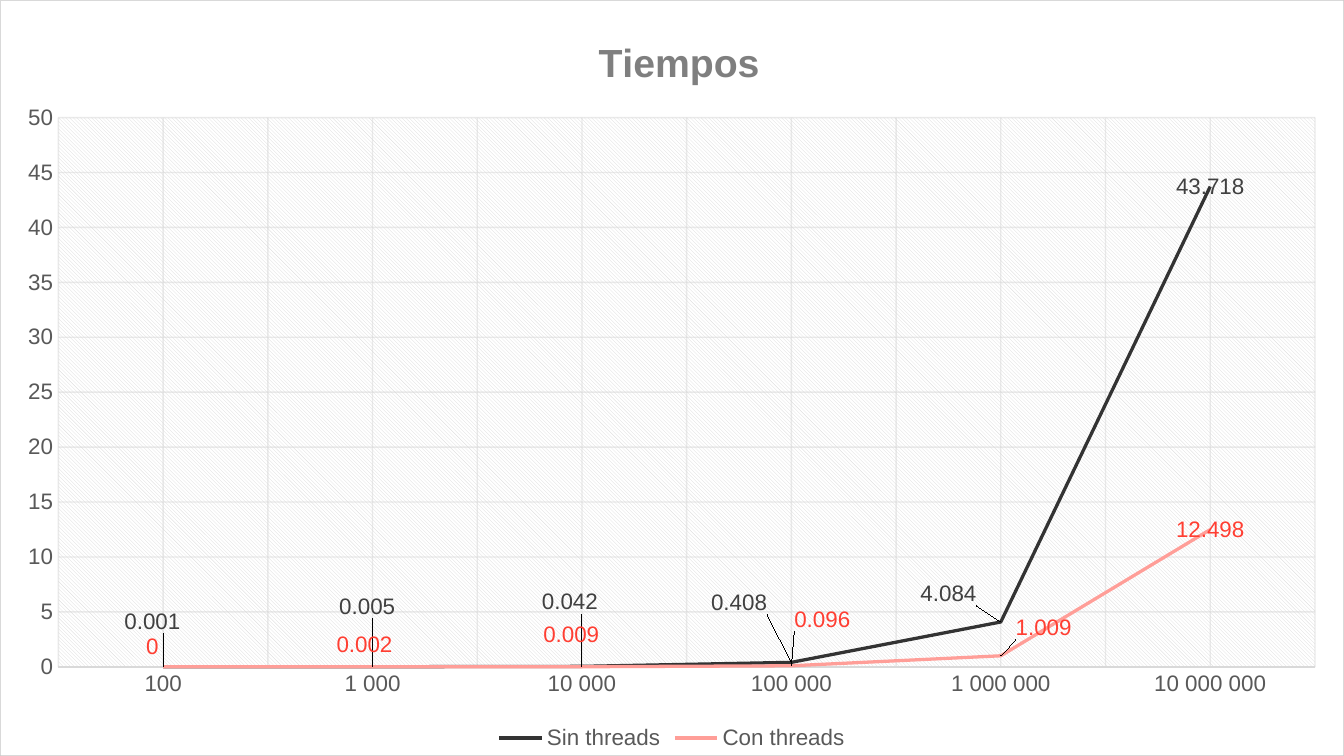
from copy import deepcopy

from pptx import Presentation
from pptx.chart.data import CategoryChartData
from pptx.dml.color import RGBColor
from pptx.enum.chart import XL_CHART_TYPE, XL_LABEL_POSITION, XL_LEGEND_POSITION, XL_TICK_MARK
from pptx.oxml import parse_xml
from pptx.oxml.ns import nsdecls, qn
from pptx.util import Inches, Pt


def style_font(font, size, color, bold=False):
    font.name, font.size, font.bold = "Arial", Pt(size), bold
    font.color.rgb = RGBColor.from_string(color)


def manual_layout(x, y, before="", after=""):
    return parse_xml(
        f'<c:layout {nsdecls("c")}><c:manualLayout>{before}'
        f'<c:x val="{x}"/><c:y val="{y}"/>{after}</c:manualLayout></c:layout>')


presentation = Presentation()
presentation.slide_width = Inches(10)
presentation.slide_height = Inches(10 * 9 / 16)
slide = presentation.slides.add_slide(presentation.slide_layouts[6])
slide.background.fill.solid()
slide.background.fill.fore_color.rgb = RGBColor.from_string("4D4D4D")

# Series: name, values, line colour, label colour,
# label offsets from the points as shares of the chart
series_rows = [
    ("Sin threads", (0.001, 0.005, 0.042, 0.408, 4.084, 43.718), "333333", "404040",
     [(-0.008, -0.06), (-0.004, -0.08), (-0.009, -0.085), (-0.039, -0.079), (-0.039, -0.037)]),
    ("Con threads", (0, 0.002, 0.009, 0.096, 1.009, 12.498), "FF9E98", "FF3E32",
     [(-0.008, -0.026), (-0.006, -0.029), (-0.008, -0.042), (0.023, -0.061), (0.032, -0.037)]),
]
chart_data = CategoryChartData()
chart_data.categories = ["100", "1 000", "10 000", "100 000", "1 000 000", "10 000 000"]
for name, values, *_ in series_rows:
    chart_data.add_series(name, values)

# Chart over the whole slide
chart = slide.shapes.add_chart(
    XL_CHART_TYPE.LINE, 0, 0, presentation.slide_width, presentation.slide_height,
    chart_data).chart
style_font(chart.font, 10, "000000")

# Title
chart.has_title = True
chart.chart_title.text_frame.text = "Tiempos"
style_font(chart.chart_title.text_frame.paragraphs[0].font, 21, "7F7F7F", bold=True)
title_element = chart.chart_title._element
for old_layout in title_element.findall(qn("c:layout")):
    title_element.remove(old_layout)
edge_mode = '<c:xMode val="edge"/><c:yMode val="edge"/>'
title_element.find(qn("c:tx")).addnext(manual_layout(0.44, 0.04, edge_mode))

# Legend
chart.has_legend = True
chart.legend.position = XL_LEGEND_POSITION.BOTTOM
chart.legend.include_in_layout = False
style_font(chart.legend.font, 12, "595959")

# Axes and half-transparent gridlines
category_axis, value_axis = chart.category_axis, chart.value_axis
value_axis.minimum_scale, value_axis.maximum_scale, value_axis.major_unit = 0, 50, 5
for axis in (category_axis, value_axis):
    axis.has_major_gridlines = True
    axis.major_tick_mark = axis.minor_tick_mark = XL_TICK_MARK.NONE
    style_font(axis.tick_labels.font, 12, "595959")
    for line in (axis.major_gridlines.format.line, axis.format.line):
        line.width = Pt(0.75)
        line.color.rgb = RGBColor.from_string("D9D9D9")
    gridlines = axis._element.find(qn("c:majorGridlines"))
    for color in gridlines.iter(qn("a:srgbClr")):
        color.append(parse_xml(f'<a:alpha {nsdecls("a")} val="54000"/>'))
value_axis.format.line.fill.background()

# Minor gridlines through the category centres
major_gridlines = category_axis._element.find(qn("c:majorGridlines"))
minor_gridlines = deepcopy(major_gridlines)
minor_gridlines.tag = qn("c:minorGridlines")
major_gridlines.addnext(minor_gridlines)

# Lines and value labels
for series, (_, _, line_color, label_color, offsets) in zip(chart.plots[0].series, series_rows):
    series.smooth = False
    series.format.line.width = Pt(1.75)
    series.format.line.color.rgb = RGBColor.from_string(line_color)
    labels = series.data_labels
    labels.show_value = True
    labels.position = XL_LABEL_POSITION.CENTER
    style_font(labels.font, 12, label_color)
    for index, offset in enumerate(offsets):
        label = series.points[index].data_label
        label.position = XL_LABEL_POSITION.CENTER
        style_font(label.font, 12, label_color)
        label_element = labels._element.findall(qn("c:dLbl"))[index]
        label_element.find(qn("c:idx")).addnext(manual_layout(*offset))

# Plot area: place and hatching
plot_area = chart._chartSpace.chart.plotArea
for old_layout in plot_area.findall(qn("c:layout")):
    plot_area.remove(old_layout)
plot_area.insert(0, manual_layout(
    0.043, 0.155, '<c:layoutTarget val="inner"/>' + edge_mode,
    '<c:w val="0.936"/><c:h val="0.728"/>'))
plot_area.append(parse_xml(
    f'<c:spPr {nsdecls("c", "a")}><a:pattFill prst="ltDnDiag">'
    '<a:fgClr><a:srgbClr val="D9D9D9"/></a:fgClr><a:bgClr><a:srgbClr val="FFFFFF"/></a:bgClr>'
    '</a:pattFill><a:ln><a:noFill/></a:ln></c:spPr>'))

# White chart background with a thin border
chart._chartSpace.chart.addnext(parse_xml(
    f'<c:spPr {nsdecls("c", "a")}><a:solidFill><a:srgbClr val="FFFFFF"/></a:solidFill>'
    '<a:ln w="9525"><a:solidFill><a:srgbClr val="D9D9D9"/></a:solidFill></a:ln></c:spPr>'))

presentation.save("out.pptx")
